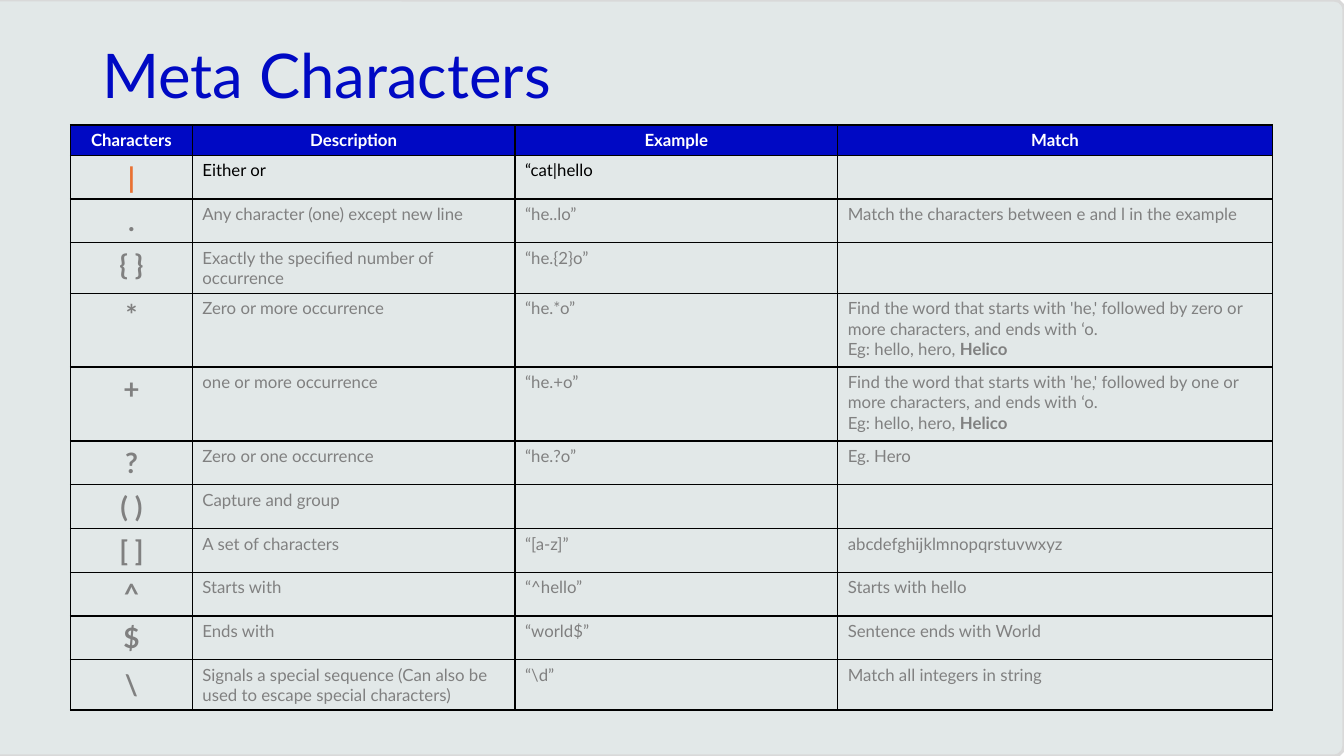
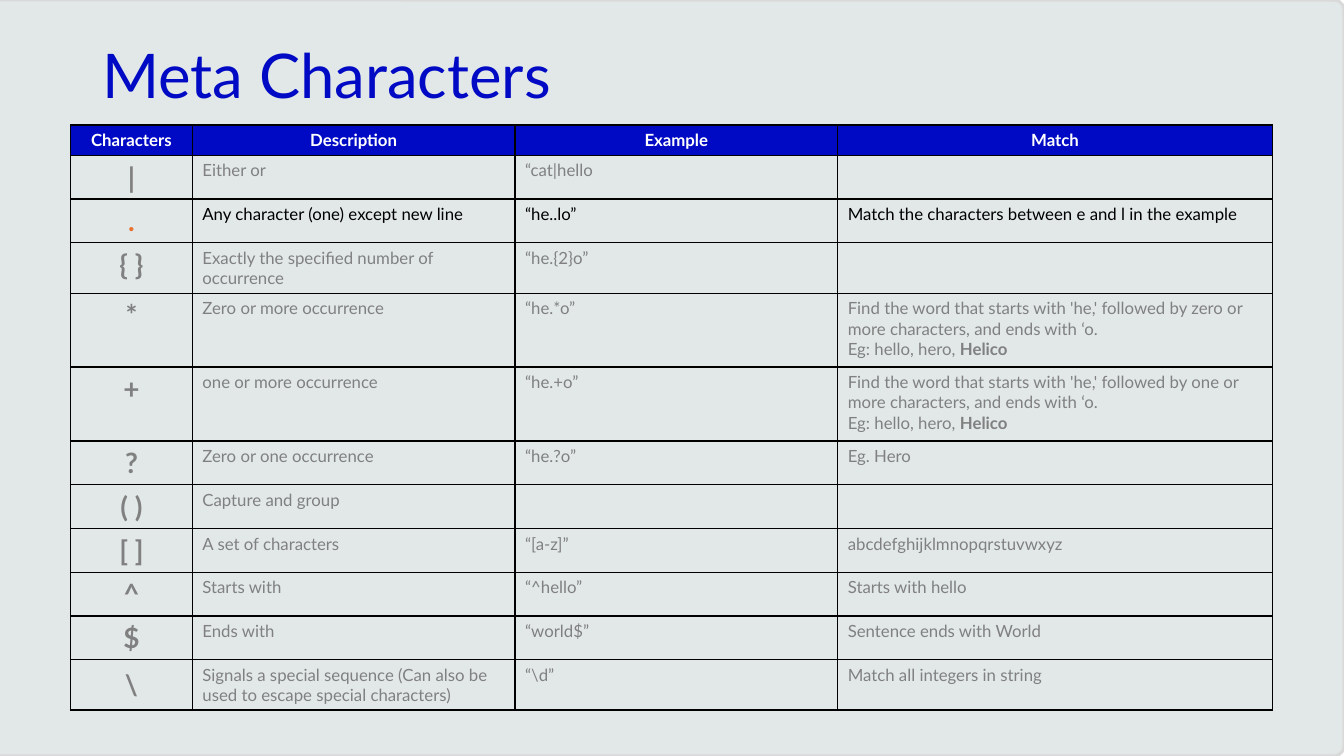
from dataclasses import dataclass

from lxml.etree import SubElement
from pptx import Presentation
from pptx.dml.color import RGBColor
from pptx.enum.shapes import MSO_SHAPE as Shape
from pptx.enum.text import MSO_ANCHOR as Anchor, PP_ALIGN as Align
from pptx.oxml.ns import qn
from pptx.util import Pt


@dataclass(frozen=True)
class Theme:
    font: str = "Lato"
    blue: RGBColor = RGBColor(0x00, 0x09, 0xC4)
    orange: RGBColor = RGBColor(0xE9, 0x71, 0x32)
    panel: RGBColor = RGBColor(0xE2, 0xE8, 0xE8)
    panel_edge: RGBColor = RGBColor(0xD9, 0xD9, 0xD9)
    white: RGBColor = RGBColor(0xFF, 0xFF, 0xFF)
    black: RGBColor = RGBColor(0x00, 0x00, 0x00)
    muted: RGBColor = RGBColor(0x80, 0x80, 0x80)
    title_size: float = 44
    symbol_size: float = 20
    body_size: float = 12


@dataclass(frozen=True)
class MetaCharacter:
    symbol: str
    description: str
    example: str = ""
    match: str = ""
    bold_ending: str = ""
    height: float = 31.2
    anchor: Anchor = Anchor.TOP


THEME = Theme()
SLIDE_WIDTH, SLIDE_HEIGHT = 960, 540
TABLE_LEFT, TABLE_TOP = 50.4, 89.3
COLUMN_WIDTHS = (87, 230.5, 230.5, 310.5)
HEADER_HEIGHT = 21.6
TWO_LINES, THREE_LINES = 36, 52.8
HEADINGS = ("Characters", "Description", "Example", "Match")


def repeat_match(count: str) -> str:
    return (f"Find the word that starts with 'he,' followed by {count} or more characters, "
            "and ends with ‘o.\nEg: hello, hero, ")


META_CHARACTERS = (
    MetaCharacter("|", "Either or", "“cat|hello"),
    MetaCharacter(".", "Any character (one) except new line", "“he..lo”",
                  "Match the characters between e and l in the example", anchor=Anchor.MIDDLE),
    MetaCharacter("{ }", "Exactly the specified number of occurrence", "“he.{2}o”",
                  height=TWO_LINES),
    MetaCharacter("*", "Zero or more occurrence", "“he.*o”", repeat_match("zero"),
                  "Helico", THREE_LINES),
    MetaCharacter("+", "one or more occurrence", "“he.+o”", repeat_match("one"),
                  "Helico", THREE_LINES),
    MetaCharacter("?", "Zero or one occurrence", "“he.?o”", "Eg. Hero"),
    MetaCharacter("( )", "Capture and group"),
    MetaCharacter("[ ]", "A set of characters", "“[a-z]”", "abcdefghijklmnopqrstuvwxyz",
                  anchor=Anchor.MIDDLE),
    MetaCharacter("^", "Starts with", "“^hello”", "Starts with hello"),
    MetaCharacter("$", "Ends with", "“world$”", "Sentence ends with World"),
    MetaCharacter("\\", "Signals a special sequence (Can also be used to escape special characters)",
                  "“\\d”", "Match all integers in string", height=TWO_LINES, anchor=Anchor.MIDDLE),
)


def style_font(font, size: float, color: RGBColor, bold: bool = False) -> None:
    font.name = THEME.font
    font.size = Pt(size)
    font.bold = bold
    font.color.rgb = color


def add_background(page) -> None:
    panel = page.shapes.add_shape(Shape.ROUNDED_RECTANGLE, Pt(-8.6), Pt(0),
                                  Pt(SLIDE_WIDTH + 8.6), Pt(SLIDE_HEIGHT))
    panel.adjustments[0] = 0.013
    panel.shadow.inherit = False
    panel.fill.solid()
    panel.fill.fore_color.rgb = THEME.panel
    panel.line.color.rgb = THEME.panel_edge
    panel.line.width = Pt(2.25)


def add_title(page, text: str) -> None:
    box = page.shapes.add_textbox(Pt(66), Pt(28.8), Pt(828), Pt(104.4))
    frame = box.text_frame
    frame.word_wrap = True
    frame.vertical_anchor = Anchor.TOP
    frame.text = text
    para = frame.paragraphs[0]
    para.line_spacing = 0.9
    style_font(para.runs[0].font, THEME.title_size, THEME.blue)


def add_borders(cell) -> None:
    """Outline a cell; must run before the cell gets its fill."""
    properties = cell._tc.get_or_add_tcPr()
    for side in ("a:lnL", "a:lnR", "a:lnT", "a:lnB"):
        line = SubElement(properties, qn(side), w=str(Pt(1)))
        solid = SubElement(line, qn("a:solidFill"))
        SubElement(solid, qn("a:srgbClr"), val=str(THEME.black))


def write_cell(cell, text: str, color: RGBColor, size: float = THEME.body_size,
               bold: bool = False, centered: bool = False, bold_ending: str = "") -> None:
    frame = cell.text_frame
    frame.text = text
    if bold_ending:
        frame.paragraphs[-1].add_run().text = bold_ending
    for para in frame.paragraphs:
        if centered:
            para.alignment = Align.CENTER
        for span in para.runs:
            style_font(span.font, size, color, bold)
    if bold_ending:
        frame.paragraphs[-1].runs[-1].font.bold = True


def add_meta_table(page, highlighted: str) -> None:
    heights = (HEADER_HEIGHT, *(item.height for item in META_CHARACTERS))
    table = page.shapes.add_table(
        len(heights), len(COLUMN_WIDTHS), Pt(TABLE_LEFT), Pt(TABLE_TOP),
        Pt(sum(COLUMN_WIDTHS)), Pt(sum(heights))).table
    table.horz_banding = False
    for column, width in zip(table.columns, COLUMN_WIDTHS):
        column.width = Pt(width)
    for row, height in zip(table.rows, heights):
        row.height = Pt(height)
    for cell in table.iter_cells():
        add_borders(cell)

    for column, heading in enumerate(HEADINGS):
        cell = table.cell(0, column)
        cell.fill.solid()
        cell.fill.fore_color.rgb = THEME.blue
        write_cell(cell, heading, THEME.white, bold=True, centered=True)

    for index, item in enumerate(META_CHARACTERS, start=1):
        active = item.symbol == highlighted
        symbol_color = THEME.orange if active else THEME.muted
        text_color = THEME.black if active else THEME.muted
        symbol, description, example, match = cells = table.rows[index].cells
        for cell in cells:
            cell.fill.background()
        symbol.vertical_anchor = item.anchor
        write_cell(symbol, item.symbol, symbol_color, THEME.symbol_size, bold=True, centered=True)
        write_cell(description, item.description, text_color)
        write_cell(example, item.example, text_color)
        write_cell(match, item.match, text_color, bold_ending=item.bold_ending)


def main() -> None:
    deck = Presentation()
    deck.slide_width, deck.slide_height = Pt(SLIDE_WIDTH), Pt(SLIDE_HEIGHT)
    blank_layout = deck.slide_layouts[6]
    for highlighted in ("|", "."):
        page = deck.slides.add_slide(blank_layout)
        add_background(page)
        add_title(page, "Meta Characters")
        add_meta_table(page, highlighted)
    deck.save("out.pptx")


if __name__ == "__main__":
    main()
